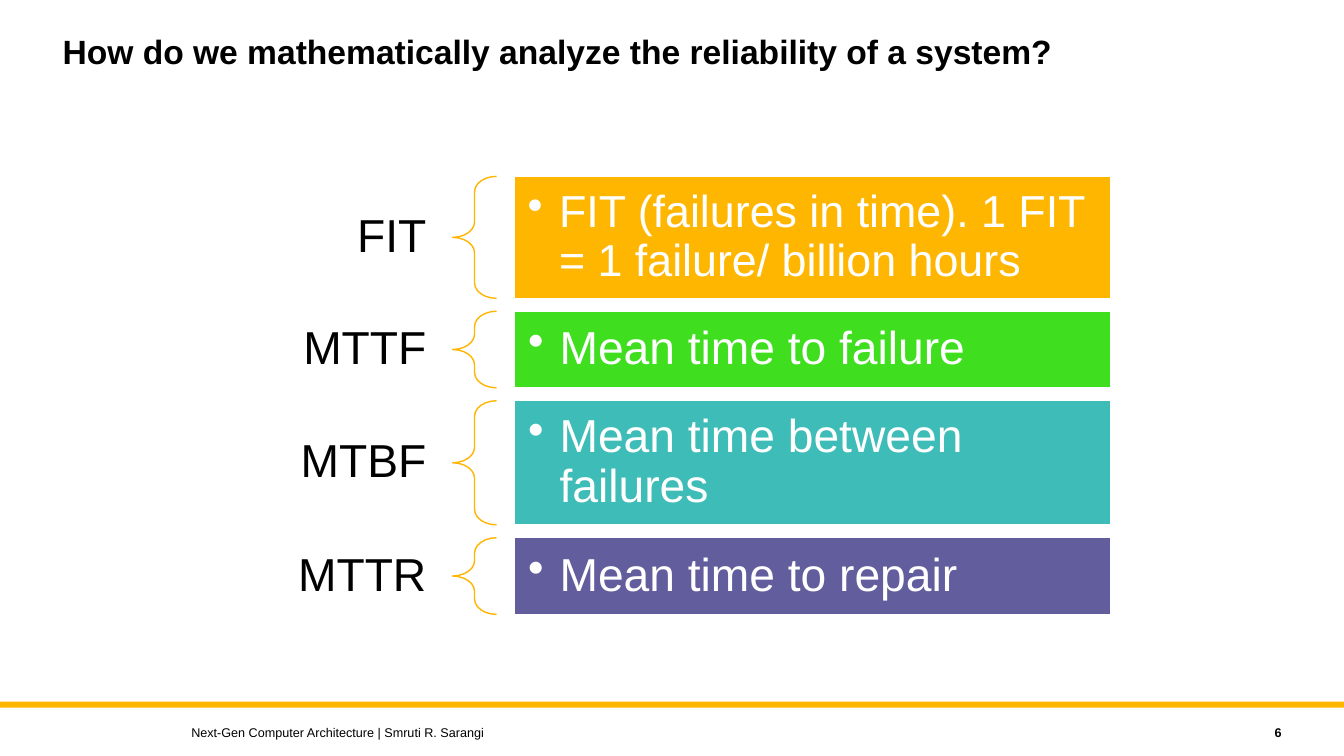
from dataclasses import dataclass

import lxml.etree
import pptx
import pptx.dml.color
import pptx.enum.shapes
import pptx.enum.text
import pptx.oxml.ns
import pptx.util

Pt = pptx.util.Pt
Shape = pptx.enum.shapes.MSO_SHAPE
Align = pptx.enum.text.PP_ALIGN
Anchor = pptx.enum.text.MSO_ANCHOR

GOLD = "FFB600"
BLACK = "000000"
WHITE = "FFFFFF"
FIRST_TOP = 126
ROW_GAP = 9.25
LABEL_HEIGHT = 51
BULLET_INDENT = 22.5


@dataclass
class Metric:
    label: str
    meaning: str
    color: str
    height: float
    size: float = 33
    inset: float = 10


METRICS = [
    Metric("FIT", "FIT (failures in time). 1 FIT = 1 failure/ billion hours", GOLD, 87.1, 32, 9.6),
    Metric("MTTF", "Mean time to failure", "3FDE1F", 54.7),
    Metric("MTBF", "Mean time between failures", "3EBCB7", 88.6),
    Metric("MTTR", "Mean time to repair", "625D9C", 54.7),
]


def rgb(code: str) -> pptx.dml.color.RGBColor:
    return pptx.dml.color.RGBColor.from_string(code)


def write(shape, text: str, size: float, color: str = BLACK, bold: bool = False,
          align=Align.LEFT, anchor=Anchor.MIDDLE, spacing: float = 1.0,
          inset_x: float = 7.2, inset_y: float = 3.6, bullet: bool = False) -> None:
    frame = shape.text_frame
    frame.text = text
    frame.word_wrap = True
    frame.auto_size = pptx.enum.text.MSO_AUTO_SIZE.NONE
    frame.vertical_anchor = anchor
    frame.margin_left = frame.margin_right = Pt(inset_x)
    frame.margin_top = frame.margin_bottom = Pt(inset_y)
    paragraph = frame.paragraphs[0]
    paragraph.alignment = align
    paragraph.line_spacing = spacing
    if bullet:
        paragraph.level = 1
        properties = paragraph._p.get_or_add_pPr()
        properties.set("marL", str(Pt(BULLET_INDENT)))
        properties.set("indent", str(-Pt(BULLET_INDENT)))
        mark = lxml.etree.SubElement(properties, pptx.oxml.ns.qn("a:buChar"))
        mark.set("char", "•")
    font = paragraph.runs[0].font
    font.name = "Arial"
    font.size = Pt(size)
    font.bold = bold
    font.color.rgb = rgb(color)


def add_text(slide, left: float, top: float, width: float, height: float, text: str,
             size: float, **style) -> None:
    box = slide.shapes.add_textbox(Pt(left), Pt(top), Pt(width), Pt(height))
    write(box, text, size, **style)


def add_shape(slide, kind, left: float, top: float, width: float, height: float,
              fill: str | None = None, line: str | None = None):
    shape = slide.shapes.add_shape(kind, Pt(left), Pt(top), Pt(width), Pt(height))
    shape.shadow.inherit = False
    if fill:
        shape.fill.solid()
        shape.fill.fore_color.rgb = rgb(fill)
    else:
        shape.fill.background()
    if line:
        shape.line.color.rgb = rgb(line)
        shape.line.width = Pt(1)
    else:
        shape.line.fill.background()
    return shape


def add_metric(slide, metric: Metric, top: float) -> None:
    label_top = top + (metric.height - LABEL_HEIGHT) / 2
    add_text(slide, 166.3, label_top, 157, LABEL_HEIGHT, metric.label, 33,
             align=Align.RIGHT, spacing=0.9, inset_x=18.7, inset_y=6.5)
    brace = add_shape(slide, Shape.LEFT_BRACE, 323.3, top, 31.4, metric.height, line=GOLD)
    brace.adjustments[0] = 0.35
    meaning = add_shape(slide, Shape.RECTANGLE, 367.2, top, 426.2, metric.height,
                        metric.color, WHITE)
    write(meaning, metric.meaning, metric.size, WHITE, spacing=0.9,
          inset_x=metric.inset, inset_y=metric.inset, bullet=True)


def main() -> None:
    presentation = pptx.Presentation()
    presentation.slide_width = Pt(960)
    presentation.slide_height = Pt(540)
    slide = presentation.slides.add_slide(presentation.slide_layouts[5])

    add_shape(slide, Shape.RECTANGLE, 0, 501.2, 960, 4.3, GOLD)
    title = slide.shapes.title
    title.left, title.top, title.width, title.height = Pt(37.5), Pt(21.6), Pt(732), Pt(64.8)
    write(title, "How do we mathematically analyze the reliability of a system?", 24,
          bold=True, anchor=Anchor.TOP, spacing=0.9)

    add_text(slide, 821.5, 514, 101, 18, "6", 9, bold=True, align=Align.RIGHT)
    add_text(slide, 129.6, 514, 576, 18,
             "Next-Gen Computer Architecture | Smruti R. Sarangi", 9)

    top = FIRST_TOP
    for metric in METRICS:
        add_metric(slide, metric, top)
        top += metric.height + ROW_GAP

    presentation.save("out.pptx")


if __name__ == "__main__":
    main()
